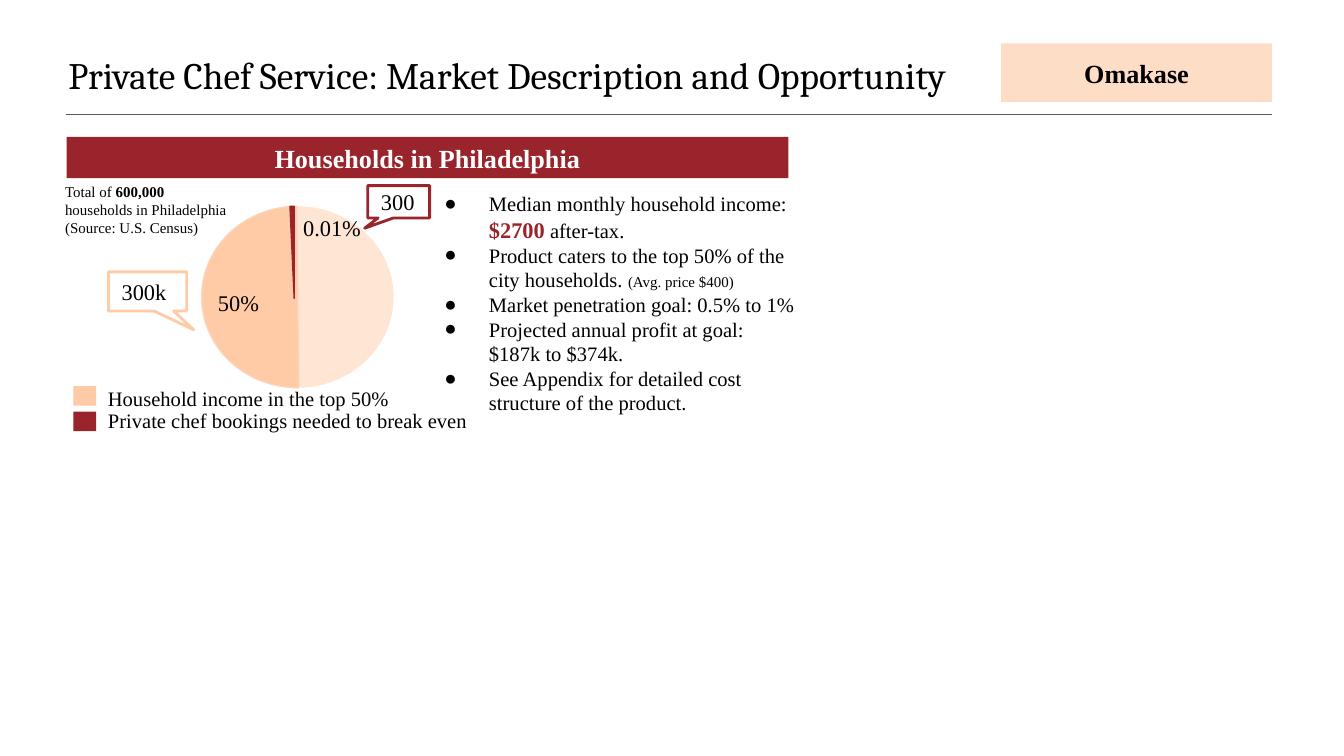
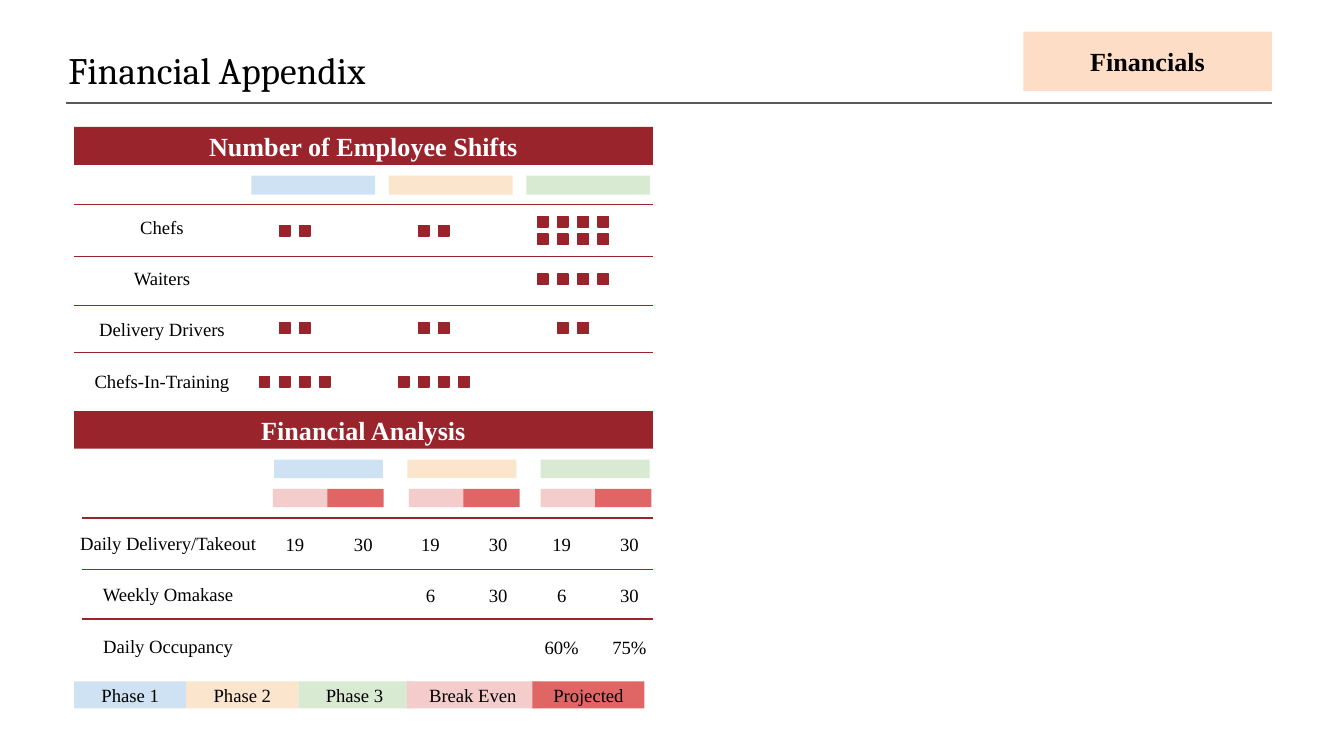
"""Build two slides: a market description and its financial appendix."""
import pptx
import pptx.dml.color
import pptx.enum.shapes
import pptx.enum.text
import pptx.oxml.ns
import pptx.util
from lxml import etree

Cm, Pt, qn = pptx.util.Cm, pptx.util.Pt, pptx.oxml.ns.qn
SHAPE = pptx.enum.shapes.MSO_SHAPE
ANCHOR = pptx.enum.text.MSO_ANCHOR
ALIGN = pptx.enum.text.PP_ALIGN

RED, PEACH, PALE, BLACK, WHITE, GREY = "99242C", "FFCBA6", "FEDDC7", "000000", "FFFFFF", "595959"
PHASES = ["CFE2F3", "FCE5CD", "D9EAD3"]
BREAK_EVEN, PROJECTED = "F4CCCC", "E06666"
SERIF, HEADING = "Times New Roman", "Cambria"
INSET, LEFT, RIGHT = 0.25, 1.24, 24.04
ROW = 0.97


def rgb(value):
    return pptx.dml.color.RGBColor.from_string(value)


def cms(*lengths):
    return [Cm(n) for n in lengths]


def add_bullet(p):
    pPr = p._p.get_or_add_pPr()
    pPr.set("marL", str(Cm(1.27)))
    pPr.set("indent", str(-Cm(0.84)))
    color = etree.SubElement(pPr, qn("a:buClr"))
    etree.SubElement(color, qn("a:srgbClr")).set("val", BLACK)
    etree.SubElement(pPr, qn("a:buChar")).set("char", "●")


def add_top_border(cell, color, width=0.75):
    line = etree.Element(qn("a:lnT"), w=str(Pt(width)))
    fill = etree.SubElement(line, qn("a:solidFill"))
    etree.SubElement(fill, qn("a:srgbClr")).set("val", color)
    cell._tc.get_or_add_tcPr().insert(0, line)


def write(tf, text, size=11, color=BLACK, bold=False, font=SERIF, align=ALIGN.LEFT,
          anchor=ANCHOR.TOP, bullet=False, spacing=None, inset=INSET):
    tf.word_wrap = True
    tf.auto_size = pptx.enum.text.MSO_AUTO_SIZE.NONE
    tf.vertical_anchor = anchor
    tf.margin_left = tf.margin_right = tf.margin_top = tf.margin_bottom = Cm(inset)
    for i, runs in enumerate([text] if isinstance(text, str) else text):
        p = tf.add_paragraph() if i else tf.paragraphs[0]
        if bullet:
            add_bullet(p)
        p.alignment, p.space_before = align, Pt(0)
        if spacing:
            p.line_spacing = spacing
        for run in [runs] if isinstance(runs, str) else runs:
            words, own = (run, {}) if isinstance(run, str) else run
            r = p.add_run()
            r.text = words
            r.font.name = font
            r.font.size = Pt(own.get("size", size))
            r.font.bold = own.get("bold", bold)
            r.font.color.rgb = rgb(own.get("color", color))


class Deck:
    def __init__(self):
        self.prs = pptx.Presentation()
        self.prs.slide_width, self.prs.slide_height = cms(25.4, 14.29)
        self.s = None

    def slide(self, layout, title, title_box, tag, tag_box, rule_y):
        self.s = self.prs.slides.add_slide(self.prs.slide_layouts[layout])
        self.placeholder(0, title_box, title, size=20, font=HEADING,
                         anchor=ANCHOR.MIDDLE, spacing=0.9)
        self.line(LEFT, RIGHT, rule_y, GREY)
        self.shape(tag_box, PALE, text=tag, size=14, bold=True)

    def placeholder(self, idx, box, text, **fmt):
        sp = self.s.placeholders[idx]
        sp.left, sp.top, sp.width, sp.height = cms(*box)
        write(sp.text_frame, text, **fmt)

    def shape(self, box, fill=None, line=None, kind=SHAPE.RECTANGLE, weight=0.75,
              adjust=(), alpha=None, text=None, **fmt):
        sp = self.s.shapes.add_shape(kind, *cms(*box))
        sp.shadow.inherit = False
        for i, value in enumerate(adjust):
            sp.adjustments[i] = value
        if fill:
            sp.fill.solid()
            sp.fill.fore_color.rgb = rgb(fill)
        else:
            sp.fill.background()
        if alpha:
            color = sp.fill._xPr.find(".//" + qn("a:srgbClr"))
            etree.SubElement(color, qn("a:alpha")).set("val", str(alpha * 1000))
        if line:
            sp.line.color.rgb = rgb(line)
            sp.line.width = Pt(weight)
        else:
            sp.line.fill.background()
        if text:
            write(sp.text_frame, text, **{"align": ALIGN.CENTER, "anchor": ANCHOR.MIDDLE, **fmt})
        return sp

    def callout(self, box, line, adjust, text):
        self.shape(box, line=line, kind=SHAPE.RECTANGULAR_CALLOUT, weight=1.5,
                   adjust=adjust, text=text, size=12, align=ALIGN.LEFT)

    def band(self, box, text):
        self.shape(box, RED, text=text, size=14, color=WHITE, bold=True)

    def text(self, box, text, **fmt):
        write(self.s.shapes.add_textbox(*cms(*box)).text_frame, text, **fmt)

    def line(self, x1, x2, y, color):
        c = self.s.shapes.add_connector(pptx.enum.shapes.MSO_CONNECTOR.STRAIGHT,
                                        *cms(x1, y, x2, y))
        c.line.color.rgb = rgb(color)
        c.line.width = Pt(0.75)
        etree.SubElement(c._element.spPr, qn("a:effectLst"))

    def table(self, x, y, widths, heights, rows):
        frame = self.s.shapes.add_table(len(heights), len(widths),
                                        *cms(x, y, sum(widths), sum(heights)))
        table = frame.table
        table.first_row = table.horz_banding = False
        style = frame._element.find(".//" + qn("a:tableStyleId"))
        style.text = "{2D5ABB26-0587-4C30-8999-92F81FD0307C}"
        for column, width in zip(table.columns, widths):
            column.width = Cm(width)
        for row, height, texts in zip(table.rows, heights, rows):
            row.height = Cm(height)
            for cell, words in zip(row.cells, texts):
                self.cell(cell, words)
        return table

    def cell(self, cell, words):
        cell.fill.background()
        cell.vertical_anchor = ANCHOR.BOTTOM
        margin = Cm(INSET if words else 0)
        cell.margin_left = cell.margin_right = margin
        cell.margin_top = cell.margin_bottom = margin
        if words:
            p = cell.text_frame.paragraphs[0]
            p.alignment = ALIGN.CENTER
            r = p.add_run()
            r.text = words
            r.font.name, r.font.size, r.font.color.rgb = SERIF, Pt(10), rgb(BLACK)

    def column(self, x, y, width, texts):
        self.table(x, y, [width], [ROW] * len(texts), [[words] for words in texts])

    def group(self, shapes):
        self.s.shapes.add_group_shape(shapes)

    def markers(self, left, top, count, step=0.38, row_step=0.33, size=0.2):
        across = min(count, 4)
        left += (4 - across) * step / 2
        top -= (count // across - 1) * row_step / 2
        for i in range(count):
            row, col = divmod(i, across)
            self.shape((left + col * step, top + row * row_step, size, size), RED, RED)


def market(deck):
    deck.slide(1, "Private Chef Service: Market Description and Opportunity",
               (1.04, 0.79, 22.81, 1.35), "Omakase", (18.92, 0.82, 5.12, 1.11), 2.16)
    deck.band((1.26, 2.59, 13.64, 0.78), "Households in Philadelphia")
    deck.placeholder(1, (7.72, 3.36, 7.65, 4.85), [
        ["Median monthly household income: ",
         ("$2700", {"size": 12, "color": RED, "bold": True}), " after-tax."],
        ["Product caters to the top 50% of the city households. ",
         ("(Avg. price $400)", {"size": 8})],
        "Market penetration goal: 0.5% to 1%",
        "Projected annual profit at goal: $187k to $374k.",
        "See Appendix for detailed cost structure of the product.",
    ], bullet=True)

    legend = [(PEACH, 7.3, 7.16, 0.74, "Household income in the top 50%"),
              (RED, 7.78, 7.68, 0.53, "Private chef bookings needed to break even")]
    for color, swatch_y, y, height, label in legend:
        deck.shape((1.39, swatch_y, 0.43, 0.37), color)
        deck.text((1.79, y, 9.09, height), label, anchor=ANCHOR.MIDDLE)

    deck.callout((2.05, 5.14, 1.48, 0.74), PEACH, (0.59, 0.98), "300k")
    deck.text((0.98, 3.2, 3.63, 1.35), [
        ["Total of ", ("600,000 ", {"bold": True}), "households in Philadelphia"],
        "(Source: U.S. Census)"], size=8)

    pie = (3.81, 3.9, 3.63, 3.43)
    half = deck.shape(pie, PEACH, "FCDBC4", SHAPE.CHORD, adjust=(53.55, 161.66))
    whole = deck.shape(pie, PEACH, kind=SHAPE.OVAL, alpha=49)
    sliver = deck.shape((5.48, 3.9, 0.08, 1.74), RED, RED, SHAPE.RIGHT_TRIANGLE)
    sliver.rotation = 180
    deck.group([half, whole, sliver])

    deck.callout((6.95, 3.51, 1.17, 0.61), RED, (-0.55, 0.82), "300")
    deck.text((3.87, 5.21, 1.88, 0.99), "50%", size=12)
    deck.text((5.48, 3.79, 1.7, 0.99), "0.01%", size=12)


def appendix(deck):
    deck.slide(5, "Financial Appendix", (1.04, 0.61, 22.94, 1.52),
               "Financials", (19.34, 0.6, 4.7, 1.12), 1.95)
    edge = 12.34

    grid = deck.table(4.29, 3.07, [2.62] * 3, [0.89, 0.89, 1.22, 0.89], [[None] * 3] * 4)
    add_top_border(grid.cell(0, 0), PHASES[0])
    deck.column(1.28, 3.78, 3.56, ["Chefs", "Waiters", "Delivery Drivers", "Chefs-In-Training"])
    shifts = [(4.26, (2, 2, 8)), (5.18, (0, 0, 4)), (6.1, (2, 2, 2)), (7.12, (4, 4, 0))]
    for y, counts in shifts:
        for i, count in enumerate(counts):
            if count:
                deck.markers(4.9 + 2.63 * i, y, count)
    for y in (3.86, 4.85, 5.78, 6.66):
        deck.line(1.4, edge, y, RED)

    deck.band((1.4, 2.4, 10.94, 0.72), "Number of Employee Shifts")
    deck.band((1.4, 7.77, 10.94, 0.71), "Financial Analysis")
    deck.column(0.98, 9.76, 4.39, ["Daily Delivery/Takeout", "Weekly Omakase", "Daily Occupancy"])
    for y in (9.79, 10.77, 11.7):
        deck.line(1.55, edge, y, RED)
    for i, (color, pair_x) in enumerate(zip(PHASES, (5.16, 7.73, 10.22))):
        deck.shape((4.75 + 2.6 * i, 3.32, 2.34, 0.36), color)
        deck.shape((5.18 + 2.52 * i, 8.69, 2.06, 0.35), color)
        for j, outcome in enumerate((BREAK_EVEN, PROJECTED)):
            deck.shape((pair_x + 1.03 * j, 9.24, 1.06, 0.35), outcome)

    figures = [(4.9, "19", None, None), (6.19, "30", None, None),
               (7.46, "19", "6", None), (8.74, "30", "30", None),
               (9.94, "19", "6", "60%"), (11.22, "30", "30", "75%")]
    for x, *texts in figures:
        deck.column(x, 9.78, 1.35, texts)

    legend = [(1.4, 2.12, PHASES[0], "Phase 1"), (3.52, 2.12, PHASES[1], "Phase 2"),
              (5.64, 2.12, PHASES[2], "Phase 3"), (7.69, 2.49, BREAK_EVEN, "Break Even"),
              (10.06, 2.12, PROJECTED, "Projected")]
    deck.group([deck.shape((x, 12.88, width, 0.51), color, text=label, size=10)
                for x, width, color, label in legend])


def main():
    deck = Deck()
    market(deck)
    appendix(deck)
    deck.prs.save("out.pptx")


if __name__ == "__main__":
    main()
